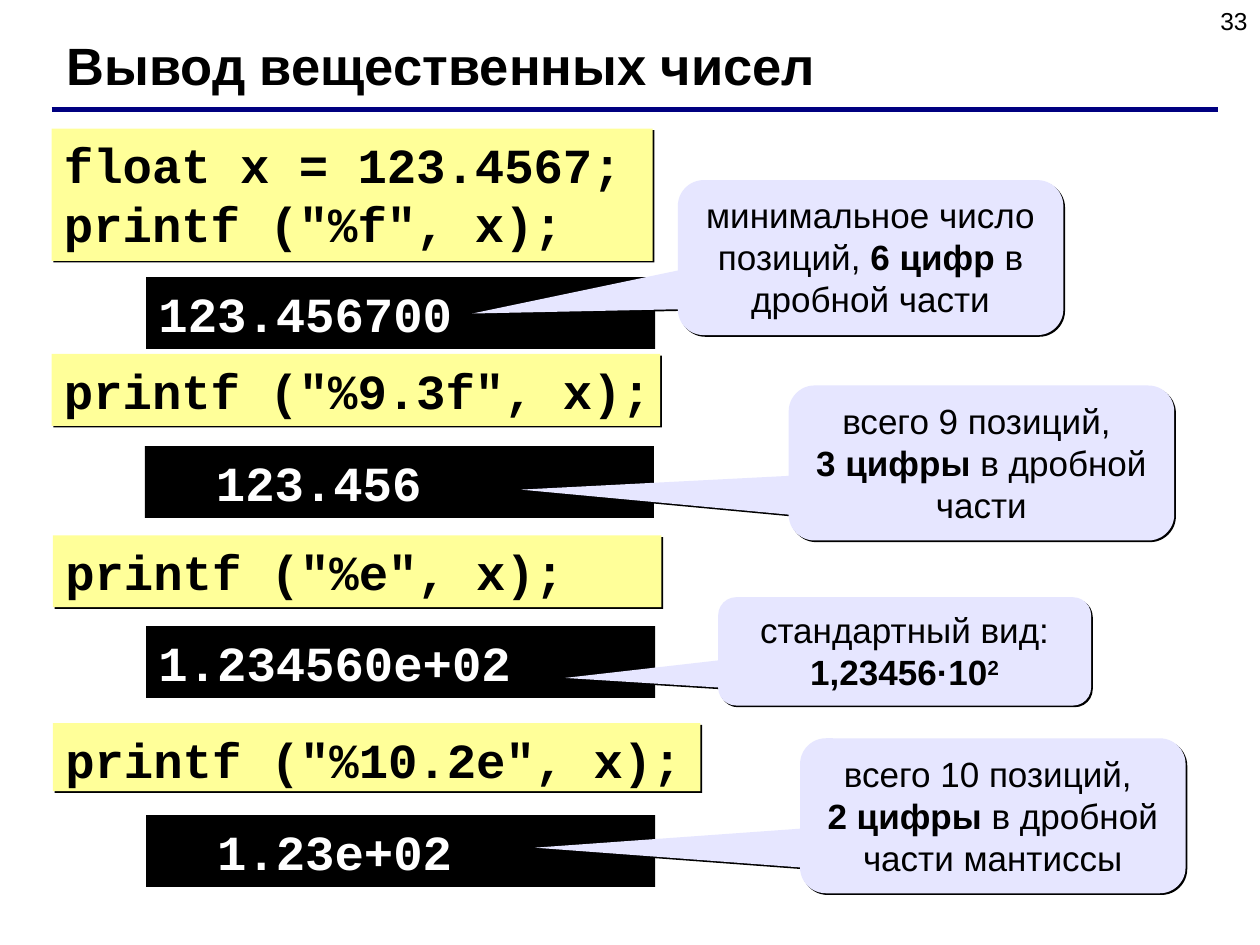
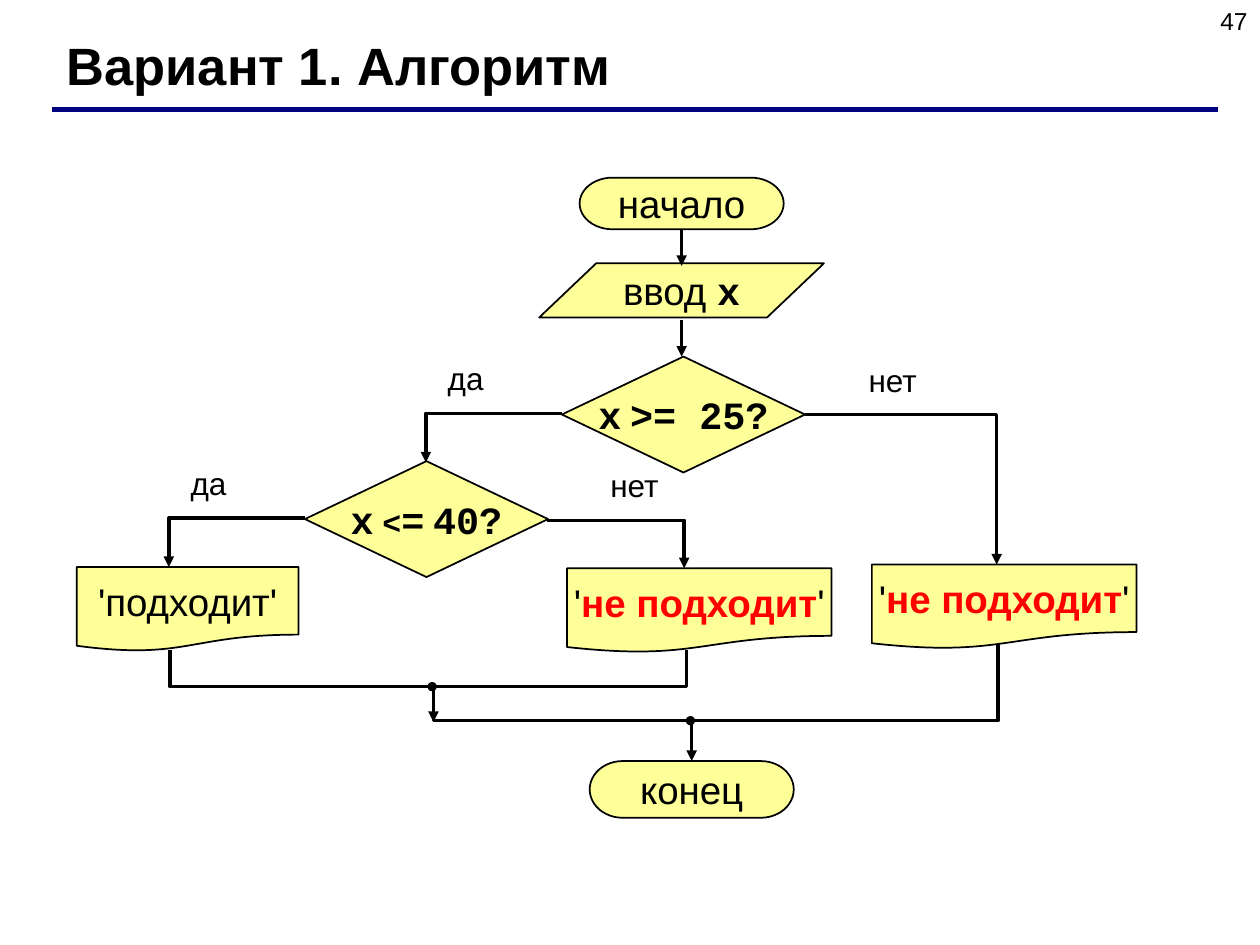
from lxml import etree
from pptx import Presentation
from pptx.dml.color import RGBColor
from pptx.enum.shapes import MSO_CONNECTOR, MSO_SHAPE
from pptx.enum.text import MSO_ANCHOR, PP_ALIGN
from pptx.oxml.ns import qn
from pptx.util import Inches, Pt

COLORS = {
    "black": "000000", "white": "FFFFFF", "navy": "000080",
    "yellow": "FFFF99", "lilac": "E6E6FF", "red": "FF0000",
}
SANS, MONO = "Arial", "Courier New"
LEFT, CENTER, RIGHT = PP_ALIGN.LEFT, PP_ALIGN.CENTER, PP_ALIGN.RIGHT
TOP, MIDDLE = MSO_ANCHOR.TOP, MSO_ANCHOR.MIDDLE
STRAIGHT = MSO_CONNECTOR.STRAIGHT
RECT, OVAL = MSO_SHAPE.RECTANGLE, MSO_SHAPE.OVAL
BUBBLE = MSO_SHAPE.ROUNDED_RECTANGULAR_CALLOUT
START_END = MSO_SHAPE.FLOWCHART_TERMINATOR
INPUT = MSO_SHAPE.FLOWCHART_DATA
CHOICE = MSO_SHAPE.FLOWCHART_DECISION
PRINT = MSO_SHAPE.FLOWCHART_DOCUMENT

# Run styles that differ from the base style of a box
BOLD = {"bold": True}
POWER = {"bold": True, "raised": True}
CODE = {"font": MONO, "bold": True}
SMALL = {"size": 18}
REJECT = {"bold": True, "color": "red"}


def rgb(name):
    return RGBColor.from_string(COLORS[name])


# Text
def style(run, size, font=SANS, bold=False, color="black", raised=False):
    run.font.size = Pt(size)
    run.font.name = font
    run.font.bold = bold
    run.font.color.rgb = rgb(color)
    if raised:
        run.font._element.set("baseline", "30000")


def write(shape, lines, base, align=LEFT, anchor=TOP, wrap=True):
    """Each line is a paragraph: plain text or a list of (text, style) pieces."""
    frame = shape.text_frame
    frame.word_wrap = wrap
    frame.vertical_anchor = anchor
    for i, line in enumerate(lines):
        para = frame.add_paragraph() if i else frame.paragraphs[0]
        para.alignment = align
        pieces = [(line, {})] if isinstance(line, str) else line
        for text, extra in pieces:
            if text == "\n":
                para.add_line_break()
                continue
            run = para.add_run()
            run.text = text
            style(run, **{**base, **extra})


def label(slide, spot, text, size, align=LEFT, bold=False):
    box = slide.shapes.add_textbox(*map(Inches, spot))
    write(box, [text], {"size": size, "bold": bold}, align)


# Shapes and lines
def shape(slide, kind, spot, fill, line=None, shadow=False):
    item = slide.shapes.add_shape(kind, *map(Inches, spot))
    item.fill.solid()
    item.fill.fore_color.rgb = rgb(fill)
    if line:
        stroke(item, line, 1)
    else:
        item.line.fill.background()
    item.shadow.inherit = False
    if shadow:
        effects = item._element.spPr.find(qn("a:effectLst"))
        drop = etree.SubElement(effects, qn("a:outerShdw"), blurRad="0",
                                dist="17780", dir="2700000", algn="ctr", rotWithShape="0")
        etree.SubElement(drop, qn("a:srgbClr"), val=COLORS["black"])
    return item


def stroke(item, color, width, arrow=False):
    item.line.color.rgb = rgb(color)
    item.line.width = Pt(width)
    if arrow:
        ln = item._element.spPr.find(qn("a:ln"))
        etree.SubElement(ln, qn("a:tailEnd"), type="triangle")


def link(slide, start, end, color="black", width=2, arrow=True):
    line = slide.shapes.add_connector(STRAIGHT, *map(Inches, start + end))
    stroke(line, color, width, arrow)
    etree.SubElement(line._element.spPr, qn("a:effectLst"))
    return line


def bend(slide, points, arrow=True):
    spots = [(Inches(x), Inches(y)) for x, y in points]
    pen = slide.shapes.build_freeform(*spots[0])
    pen.add_line_segments(spots[1:], close=False)
    item = pen.convert_to_shape()
    item.fill.background()
    stroke(item, "black", 2, arrow)
    item.shadow.inherit = False


# Shared frame of a slide
def new_slide(deck, title, number):
    slide = deck.slides.add_slide(deck.slide_layouts[6])
    label(slide, (7.67, 0, 2.33, 0.52), number, 14, RIGHT)
    link(slide, (0.41, 0.87), (9.67, 0.87), "navy", 3, arrow=False)
    label(slide, (0.43, 0.21, 8.9, 0.6), title, 30, bold=True)
    return slide


# Parts of the printf slide
def code(slide, spot, lines):
    box = shape(slide, RECT, spot, "yellow", shadow=True)
    write(box, lines, {"size": 28, **CODE}, wrap=False)


def screen(slide, left, top, text):
    box = shape(slide, RECT, (left, top, 4.04, 0.57), "black")
    write(box, [text], {"size": 28, "color": "white", **CODE})


def bubble(slide, spot, tip, pieces):
    box = shape(slide, BUBBLE, spot, "lilac", shadow=True)
    for i, value in enumerate((*tip, 0.167)):
        box.adjustments[i] = value
    write(box, [pieces], {"size": 20}, CENTER)


# Parts of the flowchart slide
def block(slide, kind, spot, pieces):
    box = shape(slide, kind, spot, "yellow", "black")
    write(box, [pieces], {"size": 22}, CENTER, MIDDLE, wrap=False)
    return box


def dot(slide, x, y):
    shape(slide, OVAL, (x - 0.03, y - 0.03, 0.06, 0.06), "black", "black")


def draw_output(deck):
    slide = new_slide(deck, "Вывод вещественных чисел", "33")
    # Code box, code lines, screen corner, screen text, bubble box, tip, bubble text
    steps = [
        ((0.41, 1.02, 4.77, 1.05), ["float x = 123.4567;", 'printf ("%f", x);'],
         (1.16, 2.2), "123.456700", (5.38, 1.43, 3.06, 1.23), (-1.033, 0.361),
         [("минимальное число позиций, ", {}), ("6 цифр", BOLD),
          (" в дробной части", {})]),
        ((0.41, 2.81, 4.83, 0.57), ['printf ("%9.3f", x);'],
         (1.15, 3.54), "  123.456", (6.26, 3.06, 3.06, 1.23), (-1.195, 0.172),
         [("всего 9 позиций, ", {}), ("\n", {}), ("3 цифры", BOLD),
          (" в дробной части", {})]),
        ((0.42, 4.25, 4.83, 0.57), ['printf ("%e", x);'],
         (1.16, 4.97), "1.234560e+02", (5.7, 4.74, 2.96, 0.86), (-0.911, 0.245),
         [("стандартный вид:", {}), ("\n", {}), ("1,23456·10", BOLD),
          ("2", POWER)]),
        ((0.42, 5.74, 5.14, 0.54), ['printf ("%10.2e", x);'],
         (1.16, 6.47), "  1.23e+02", (6.35, 5.86, 3.06, 1.23), (-1.188, 0.206),
         [("всего 10 позиций, ", {}), ("\n", {}), ("2 цифры", BOLD),
          (" в дробной части мантиссы", {})]),
    ]
    for place, lines, corner, result, spot, tip, pieces in steps:
        code(slide, place, lines)
        screen(slide, *corner, result)
        bubble(slide, spot, tip, pieces)


def draw_chart(deck):
    slide = new_slide(deck, "Вариант 1. Алгоритм", "47")
    reject = [("'", {}), ("не подходит", REJECT), ("'", {})]

    # Blocks
    first = block(slide, START_END, (4.6, 1.41, 1.62, 0.41), [("начало", {})])
    block(slide, INPUT, (4.28, 2.09, 2.26, 0.43), [("ввод ", {}), ("x", CODE)])
    block(slide, PRINT, (0.61, 4.5, 1.76, 0.67), [("'подходит'", {})])
    last = block(slide, START_END, (4.68, 6.04, 1.62, 0.45), [("конец", {})])
    block(slide, CHOICE, (4.46, 2.83, 1.93, 0.92),
          [("x", CODE), (" ", SMALL), (">= 25?", CODE)])
    block(slide, CHOICE, (2.42, 3.66, 1.93, 0.92),
          [("x", CODE), (" ", SMALL), ("<", {**CODE, **SMALL}), ("=", CODE),
           (" ", SMALL), ("40?", CODE)])
    for left, top in ((4.5, 4.51), (6.92, 4.48)):
        block(slide, PRINT, (left, top, 2.1, 0.67), reject)

    # Straight arrows
    link(slide, (5.41, 1.82), (5.41, 2.11)).begin_connect(first, 2)
    link(slide, (5.41, 2.54), (5.41, 2.83))
    link(slide, (5.49, 5.72), (5.49, 6.04)).end_connect(last, 0)
    link(slide, (3.44, 5.48), (3.44, 5.73))

    # Branches out of the choices
    for start, x, end in (((4.46, 3.28), 3.38, 3.67), ((6.39, 3.29), 7.91, 4.48),
                          ((2.42, 4.11), 1.34, 4.5), ((4.34, 4.13), 5.43, 4.51)):
        bend(slide, [start, (x, start[1]), (x, end)])

    # Joins below the printed results
    bend(slide, [(1.35, 5.16), (1.35, 5.45), (5.45, 5.45), (5.45, 5.16)], arrow=False)
    bend(slide, [(3.44, 5.43), (3.44, 5.72), (7.92, 5.72), (7.92, 5.11)], arrow=False)
    dot(slide, 3.43, 5.45)
    dot(slide, 5.48, 5.72)

    # Answers
    for left, top, word in ((3.32, 2.8, "да"), (6.71, 2.82, "нет"),
                            (1.28, 3.63, "да"), (4.66, 3.65, "нет")):
        label(slide, (left, top, 0.75, 0.4), word, 18, CENTER)


def main():
    deck = Presentation()
    deck.slide_width, deck.slide_height = Inches(10), Inches(7.5)
    draw_output(deck)
    draw_chart(deck)
    deck.save("out.pptx")


if __name__ == "__main__":
    main()
